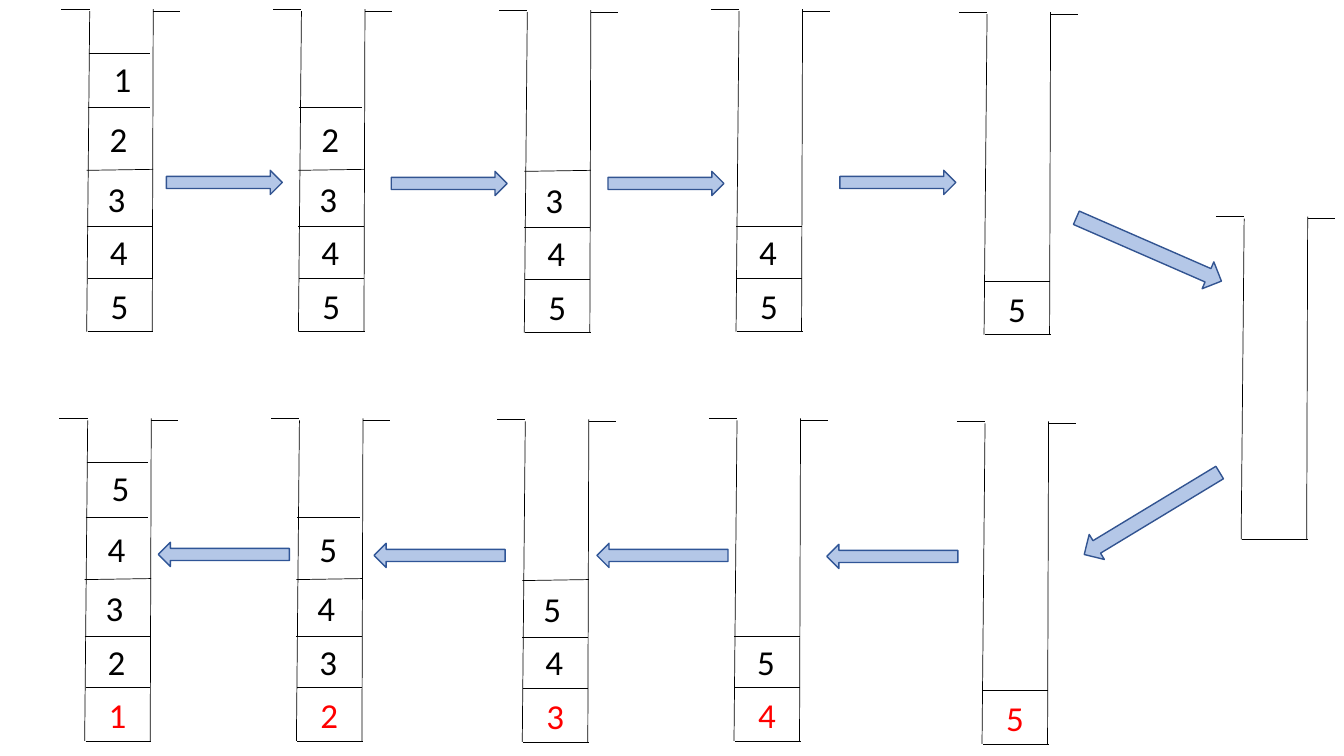
from pptx import Presentation
from pptx.dml.color import RGBColor
from pptx.enum.shapes import MSO_CONNECTOR, MSO_SHAPE
from pptx.enum.text import MSO_AUTO_SIZE
from pptx.oxml.ns import qn
from pptx.util import Inches, Pt
from lxml.etree import SubElement


def paint(color, code):
    color.rgb = RGBColor.from_string(code)


def draw_stack(left, top, items, first="000000"):
    """Draw one open stack; items run from the bottom upwards."""
    for x1, y1, x2, y2 in FRAME + LEVELS[:len(items)]:
        line = slide.shapes.add_connector(
            MSO_CONNECTOR.STRAIGHT, Inches(left + x1), Inches(top + y1),
            Inches(left + x2), Inches(top + y2))
        paint(line.line.color, "000000")
        line.line.width = Pt(0.5)
        SubElement(line._element.spPr, qn("a:effectLst"))
    for i, (item, (x, y, width)) in enumerate(zip(items, LABELS)):
        box = slide.shapes.add_textbox(
            Inches(left + x), Inches(top + y), Inches(width), Inches(0.52))
        frame = box.text_frame
        frame.word_wrap = True
        frame.auto_size = MSO_AUTO_SIZE.SHAPE_TO_FIT_TEXT
        frame.text = item
        font = frame.paragraphs[0].runs[0].font
        font.name, font.size = "Calibri", Pt(25)
        paint(font.color, first if i == 0 else "000000")


deck = Presentation()
deck.slide_width, deck.slide_height = Inches(13.33), Inches(7.5)
slide = deck.slides.add_slide(deck.slide_layouts[6])

# Stack geometry, measured from the tip of the left lip
FRAME = [(0, 0, 0.28, 0), (0.91, 0.02, 1.18, 0.02),
         (0.28, 0.02, 0.25, 3.2), (0.91, 0, 0.9, 3.2),
         (0.26, 3.2, 0.91, 3.2)]
LEVELS = [(0.26, 2.67, 0.9, 2.67), (0.25, 2.16, 0.9, 2.16),
          (0.25, 1.6, 0.91, 1.59), (0.26, 0.98, 0.88, 0.98),
          (0.27, 0.44, 0.88, 0.44)]
LABELS = [(0.39, 2.68, 0.36), (0.38, 2.15, 0.48), (0.36, 1.62, 0.48),
          (0.38, 1.03, 0.37), (0.42, 0.43, 0.37)]

# Popping in the top row, pushing in the bottom row
tops = [(0.61, 0.09), (2.71, 0.09), (4.95, 0.1), (7.05, 0.09), (9.51, 0.12)]
for i, (left, top) in enumerate(tops):
    draw_stack(left, top, "54321"[:5 - i])
    draw_stack(left - 0.02, top + 4.06, "12345"[i:], "FF0000")

# The emptied stack
draw_stack(12.06, 2.15, "")

# Arrows: left, top, width, height, turn, outline
arrows = [(x, y, 1.15, 0.24, 0, "325491")
          for x, y in [(1.65, 1.69), (3.88, 1.7), (6.03, 1.7), (8.33, 1.69)]]
arrows += [(10.61, 2.33, 1.57, 0.29, 23.6, "325491"),
           (10.64, 4.95, 1.57, 0.29, 148.8, "325491")]
arrows += [(x, y, 1.3, 0.24, 180, "2F5597")
           for x, y in [(8.2, 5.4), (5.92, 5.39), (3.71, 5.39), (1.57, 5.38)]]
for *place, turn, edge in arrows:
    arrow = slide.shapes.add_shape(MSO_SHAPE.RIGHT_ARROW, *map(Inches, place))
    arrow.rotation = turn
    arrow.shadow.inherit = False
    arrow.fill.solid()
    paint(arrow.fill.fore_color, "B4C7E7")
    paint(arrow.line.color, edge)
    arrow.line.width = Pt(1)

deck.save("out.pptx")
